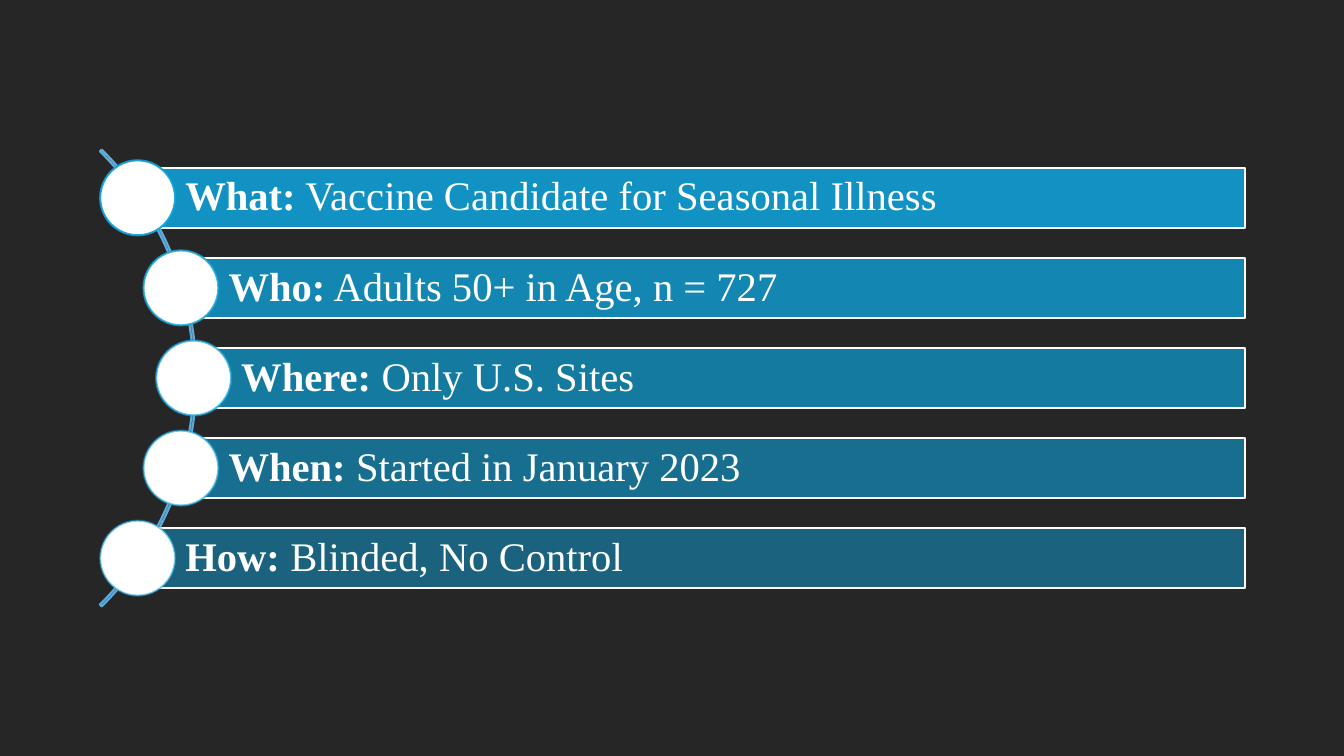
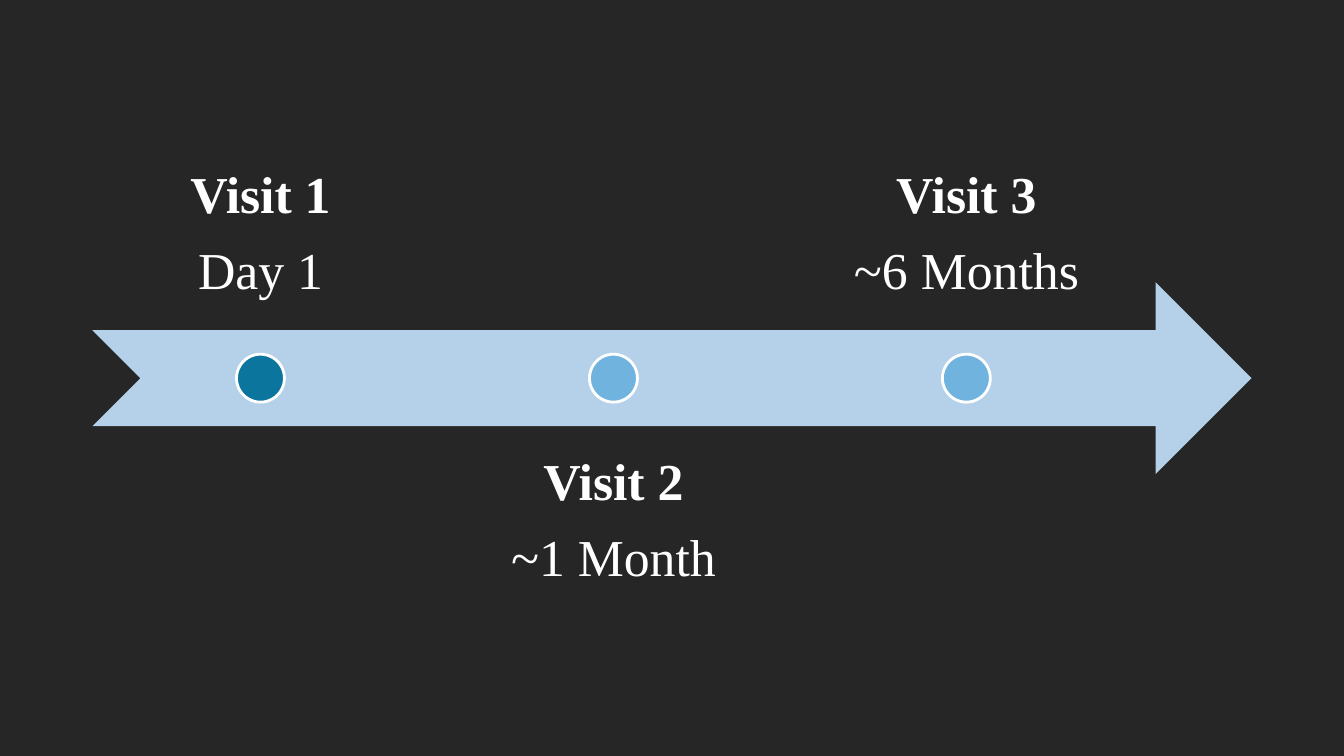
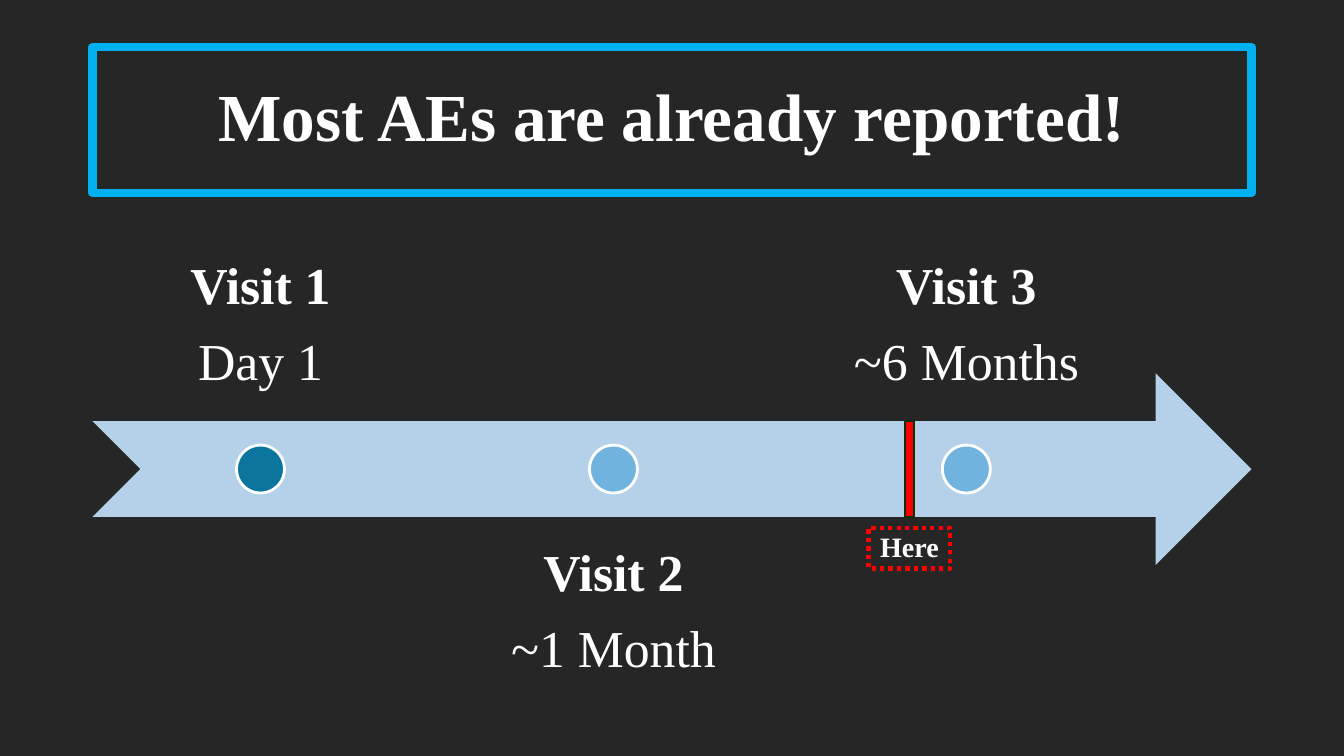
from lxml.etree import SubElement
from pptx import Presentation
from pptx.dml.color import RGBColor as Rgb
from pptx.enum.dml import MSO_LINE as Dash
from pptx.enum.shapes import MSO_SHAPE as Kind
from pptx.enum.text import MSO_ANCHOR as Anchor, PP_ALIGN as Align
from pptx.oxml.ns import qn
from pptx.util import Cm, Pt

FONT = "Times New Roman"
HUES = {
    "back": "262626",
    "white": "FFFFFF",
    "bar": "0F9ED5",
    "arc": "5EABDA",
    "arrow": "B4D1E9",
    "first": "0B759E",
    "later": "70B3DF",
    "frame": "00B0F0",
    "red": "FF0000",
    "edge": "0B2F10",
}
FACTS = [
    ("What:", " Vaccine Candidate for Seasonal Illness", 0),
    ("Who:", " Adults 50+ in Age, n = 727", 1.09),
    ("Where:", " Only U.S. Sites", 1.41),
    ("When:", " Started in January 2023", 1.09),
    ("How:", " Blinded, No Control", 0),
]
VISITS = [
    ("Visit 1", "Day 1"),
    ("Visit 2", "~1 Month"),
    ("Visit 3", "~6 Months"),
]


def hue(name):
    return Rgb.from_string(HUES[name])


def fade(part, share):
    for color in part.iter(qn("a:srgbClr")):
        SubElement(color, qn("a:alpha")).set("val", str(share * 1000))


def draw(slide, kind, box, fill=None, line=None, width=1.5):
    shape = slide.shapes.add_shape(kind, *[Cm(n) for n in box])
    shape.shadow.inherit = False
    if fill:
        shape.fill.solid()
        shape.fill.fore_color.rgb = hue(fill)
    else:
        shape.fill.background()
    if line:
        shape.line.color.rgb = hue(line)
        shape.line.width = Pt(width)
    else:
        shape.line.fill.background()
    return shape


def write(shape, paras, size=37, align=Align.CENTER, anchor=Anchor.MIDDLE,
          pads=(0.1, 0.1, 0.1, 0.1), after=0):
    frame = shape.text_frame
    frame.word_wrap = True
    frame.vertical_anchor = anchor
    (frame.margin_left, frame.margin_top,
     frame.margin_right, frame.margin_bottom) = [Cm(n) for n in pads]
    for i, runs in enumerate(paras):
        para = frame.add_paragraph() if i else frame.paragraphs[0]
        para.alignment = align
        para.line_spacing = 0.9
        para.space_after = Pt(after)
        for text, bold in runs:
            run = para.add_run()
            run.text = text
            run.font.name = FONT
            run.font.size = Pt(size)
            run.font.bold = bold
            run.font.color.rgb = hue("white")


def add_list(slide, left, top, width):
    pitch, tall, disc = 2.27, 1.51, 1.89
    ring = 16.28
    mid = top + pitch * 2 + tall / 2
    arc = draw(slide, Kind.BLOCK_ARC,
               (left - 14.8, mid - ring / 2, ring, ring), line="arc")
    for i, value in enumerate((189, 27, 0.004)):
        arc.adjustments[i] = value
    for i, (label, text, shift) in enumerate(FACTS):
        x, y, share = left + shift, top + i * pitch, 90 - 10 * i
        bar = draw(slide, Kind.RECTANGLE, (x, y, width - shift, tall),
                   "bar", "white")
        fade(bar.element.spPr.find(qn("a:solidFill")), share)
        write(bar, [[(label, True), (text, False)]], size=29,
              align=Align.LEFT, pads=(1.2, 0.2, 0.2, 0.2))
        dot = draw(slide, Kind.OVAL,
                   (x - disc / 2, y + (tall - disc) / 2, disc, disc),
                   "white", "bar")
        fade(dot.element.spPr.find(qn("a:ln")), share)


def add_line(slide, left, top, width, height):
    band, disc = height * 0.4, height * 0.1
    col = width * 0.29
    draw(slide, Kind.NOTCHED_RIGHT_ARROW,
         (left, top + height * 0.3, width, band), "arrow")
    for i, (name, when) in enumerate(VISITS):
        x, low = left + i * col * 1.05, i % 2
        y = top + low * height * 0.6
        note = slide.shapes.add_textbox(Cm(x), Cm(y), Cm(col), Cm(band))
        write(note, [[(name, True)], [(when, False)]],
              anchor=Anchor.TOP if low else Anchor.BOTTOM,
              pads=(0.74, 0.74, 0.74, 0.74), after=14.5)
        draw(slide, Kind.OVAL,
             (x + (col - disc) / 2, top + (height - disc) / 2, disc, disc),
             "later" if i else "first", "white", 2)


def add_title(slide, text, box):
    title = draw(slide, Kind.RECTANGLE, box, line="frame", width=6)
    write(title, [[(text, True)]], size=48)


def add_mark(slide, mid, top, height):
    wide, slim = 2.06, 0.23
    tag = draw(slide, Kind.RECTANGLE,
               (mid - wide / 2, top + height + 0.28, wide, 1.02),
               line="red", width=3)
    tag.line.dash_style = Dash.ROUND_DOT
    write(tag, [[("Here", True)]], size=20)
    draw(slide, Kind.RECTANGLE, (mid - slim / 2, top, slim, height),
         "red", "edge")


def add_page(deck):
    slide = deck.slides.add_slide(deck.slide_layouts[6])
    slide.background.fill.solid()
    slide.background.fill.fore_color.rgb = hue("back")
    return slide


def main():
    deck = Presentation()
    deck.slide_width, deck.slide_height = Cm(33.87), Cm(19.05)
    left, width, height = 2.33, 29.21, 12.08

    add_list(add_page(deck), 3.47, 4.23, 27.91)
    add_line(add_page(deck), left, 3.49, width, height)

    page, top = add_page(deck), 5.78
    add_line(page, left, top, width, height)
    add_title(page, "Most AEs are already reported!", (left, 1.19, width, 3.68))
    add_mark(page, 22.92, top + height * 0.4, height * 0.2)

    deck.save("out.pptx")


if __name__ == "__main__":
    main()
